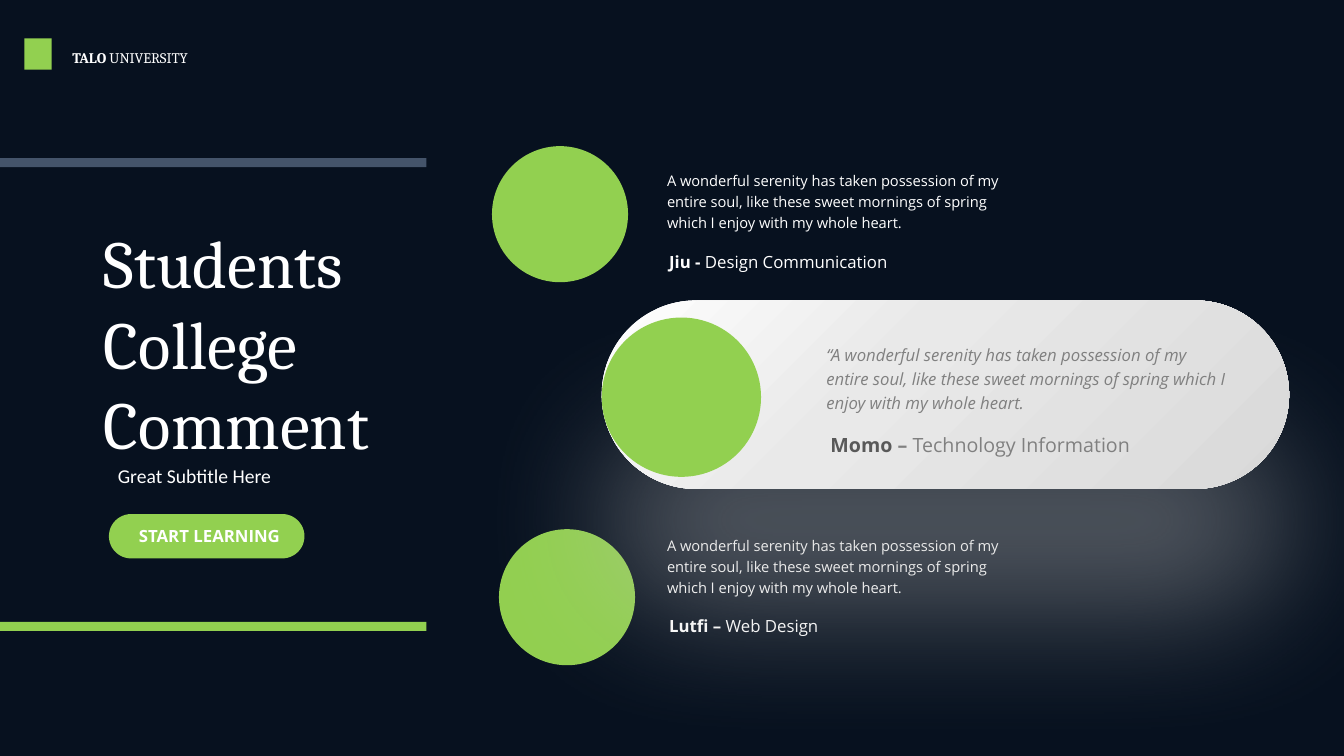
from copy import deepcopy

from lxml import etree
from pptx import Presentation
from pptx import util as u
from pptx.dml.color import RGBColor
from pptx.enum import shapes, text
from pptx.oxml import ns

COLORS = {
    "night": "07111F", "green": "92D050", "slate": "44546A", "white": "FFFFFF",
    "pearl": "E9E9E9", "silver": "D9D9D9", "glow": "BFBFBF",
    "gray": "808080", "charcoal": "595959",
}
QUOTE = ("A wonderful serenity has taken possession of my entire soul, like these "
         "sweet mornings of spring which I enjoy with my whole heart.")
KIND = shapes.MSO_SHAPE


def rgb(name):
    return RGBColor.from_string(COLORS[name])


def pts(box):
    return [u.Pt(value) for value in box]


def add_figure(slide, kind, box, color):
    figure = slide.shapes.add_shape(kind, *pts(box))
    figure.shadow.inherit = False
    figure.fill.solid()
    figure.fill.fore_color.rgb = rgb(color)
    figure.line.fill.background()
    if kind == KIND.ROUNDED_RECTANGLE:
        figure.adjustments[0] = 0.5
    return figure


def write(frame, runs, font, size, spacing=1.0, anchor=text.MSO_ANCHOR.TOP):
    """Each run is (words, color, bold, italic)."""
    frame.word_wrap = True
    frame.auto_size = text.MSO_AUTO_SIZE.NONE
    frame.vertical_anchor = anchor
    line = frame.paragraphs[0]
    line.alignment = text.PP_ALIGN.LEFT
    line.line_spacing = spacing
    line.space_before = u.Pt(0)
    for words, color, bold, italic in runs:
        run = line.add_run()
        run.text = words
        run.font.name, run.font.size = font, u.Pt(size)
        run.font.bold, run.font.italic = bold, italic
        run.font.color.rgb = rgb(color)


def add_words(slide, box, *args, **options):
    write(slide.shapes.add_textbox(*pts(box)).text_frame, *args, **options)


def place(holder, box):
    holder.left, holder.top, holder.width, holder.height = pts(box)
    return holder.text_frame


def brand(slide, box):
    left, top, width, height = box
    add_figure(slide, KIND.RECTANGLE, (left, top, 19.5, height), "green")
    add_words(slide, (left + 27.2, top + 4.3, width - 27.2, 20),
              [("TALO ", "white", True, False), ("UNIVERSITY", "white", False, False)],
              "Cambria", 10.5)


def intro(slide, box):
    left, top, width, height = box
    # Rules above and below the heading
    bar = 6.5
    add_figure(slide, KIND.RECTANGLE, (left, top, width, bar), "slate")
    add_figure(slide, KIND.RECTANGLE, (left, top + height - bar, width, bar), "green")
    # Heading and subtitle
    heading, subtitle = slide.placeholders
    write(place(heading, (left + 67, top + 33.1, 288.7, 196.6)),
          [("Students College Comment", "white", False, False)],
          "Cambria", 48, anchor=text.MSO_ANCHOR.MIDDLE)
    write(place(subtitle, (left + 77, top + 214.6, 260.6, 24.5)),
          [("Great Subtitle Here", "white", False, False)], "Calibri", 14)
    # Button
    button = add_figure(slide, KIND.ROUNDED_RECTANGLE,
                        (left + 77.8, top + 254.2, 139.7, 31.7), "green")
    button.text_frame.margin_left = u.Pt(16.8)
    write(button.text_frame, [("START LEARNING", "white", True, False)],
          "Open Sans", 12, anchor=text.MSO_ANCHOR.MIDDLE)


def comment(slide, box, avatar, quote, author, sizes, author_offset):
    """Avatar box and author offset are relative to the quote box."""
    left, top, width, height = box
    across, down, diameter = avatar
    add_figure(slide, KIND.OVAL, (left + across, top + down, diameter, diameter), "green")
    add_words(slide, box, quote, "Open Sans", sizes[0], spacing=1.2)
    indent, drop = author_offset
    add_words(slide, (left + indent, top + drop, width - indent, 24),
              author, "Open Sans", sizes[1])


def plain_comment(slide, box, avatar, name, subject, drop):
    comment(slide, box, avatar, [(QUOTE, "white", False, False)],
            [(name, "white", True, False), (subject, "white", False, False)],
            (10.5, 12), (1.5, drop))


def featured_comment(slide, box):
    left, top, width, height = box
    capsule = add_figure(slide, KIND.ROUNDED_RECTANGLE, box, "pearl")
    # Three-stop gradient
    capsule.fill.gradient()
    capsule.fill.gradient_angle = 315
    first = capsule._element.spPr.find(".//" + ns.qn("a:gs"))
    first.addnext(deepcopy(first))
    for stop, color, position in zip(capsule.fill.gradient_stops,
                                     ("white", "pearl", "silver"), (0, 0.4, 1)):
        stop.color.rgb, stop.position = rgb(color), position
    # Soft glow below
    effects = capsule._element.spPr.find(ns.qn("a:effectLst"))
    glow = etree.SubElement(effects, ns.qn("a:outerShdw"), blurRad=str(u.Pt(100)),
                            dist=str(u.Pt(90)), dir="5400000", algn="t", rotWithShape="0")
    tint = etree.SubElement(glow, ns.qn("a:srgbClr"), val=COLORS["glow"])
    etree.SubElement(tint, ns.qn("a:alpha"), val="40000")
    comment(slide, (left + 153.4, top + 25.2, 300.2, 58.3), (-153.4, -13, 113.8),
            [("\u201c" + QUOTE, "gray", False, True)],
            [("Momo ", "charcoal", True, False), ("\u2013 ", "gray", True, False),
             ("Technology Information", "gray", False, False)],
            (12, 14), (2.9, 66.2))


deck = Presentation()
deck.slide_width, deck.slide_height = u.Pt(960), u.Pt(540)
slide = deck.slides.add_slide(deck.slide_layouts[0])
slide.background.fill.solid()
slide.background.fill.fore_color.rgb = rgb("night")

plain_comment(slide, (469.4, 377.3, 262.8, 51.8), (-113, 0.7, 97.2),
              "Lutfi \u2013 ", "Web Design", 59)
plain_comment(slide, (469.4, 116.6, 262.8, 51.8), (-118, -12.2, 97.2),
              "Jiu - ", "Design Communication", 59.8)
featured_comment(slide, (429.8, 214.6, 491, 134.6))
intro(slide, (0, 113, 304.6, 337.7))
brand(slide, (17.4, 27.4, 136, 22.3))

deck.save("out.pptx")
